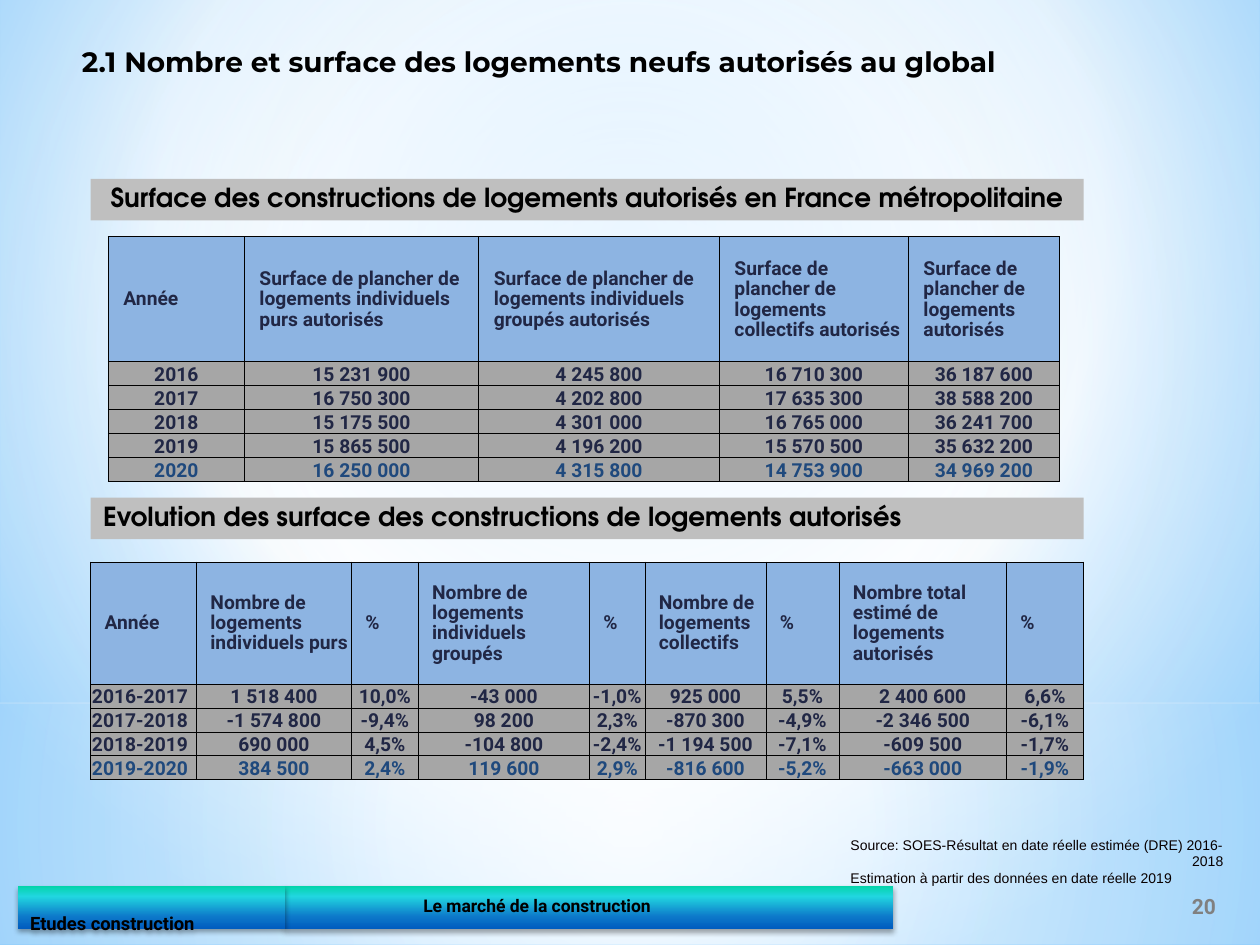
from dataclasses import dataclass

from lxml import etree
from pptx import Presentation
from pptx.dml.color import RGBColor
from pptx.enum.shapes import MSO_SHAPE
from pptx.enum.text import MSO_ANCHOR, PP_ALIGN
from pptx.oxml import parse_xml
from pptx.oxml.ns import nsdecls, qn
from pptx.util import Inches, Pt


@dataclass(frozen=True)
class Theme:
    black: str = "000000"
    navy: str = "212745"
    blue: str = "1F497D"
    red: str = "FF0000"
    grey: str = "808080"
    source: str = "080000"
    band: str = "BFBFBF"
    header: str = "8DB4E2"
    body: str = "A6A6A6"
    title_font: str = "Montserrat"
    band_font: str = "TeX Gyre Adventor"
    text_font: str = "Roboto"
    source_font: str = "Arial"
    title_size: float = 16
    band_size: float = 15
    number_size: float = 12
    cell_size: float = 11
    tag_size: float = 10.5
    footer_size: float = 10
    source_size: float = 8


T = Theme()
LEFT, CENTER, RIGHT = PP_ALIGN.LEFT, PP_ALIGN.CENTER, PP_ALIGN.RIGHT
TOP, MIDDLE, BOTTOM = MSO_ANCHOR.TOP, MSO_ANCHOR.MIDDLE, MSO_ANCHOR.BOTTOM
DEFAULT_INSETS = (0.1, 0.05, 0.1, 0.05)

TITLE = "2.1 Nombre et surface des logements neufs autorisés au global"
BANDS = [
    (1.42, CENTER, "Surface des constructions de logements autorisés en France métropolitaine"),
    (3.95, LEFT, "Evolution des surface des constructions de logements autorisés"),
]
SOURCE = [
    (RIGHT, "Source: SOES-Résultat en date réelle estimée (DRE) 2016-2018"),
    (LEFT, "Estimation à partir des données en date réelle 2019"),
]
TABLES = [
    {
        "at": (0.86, 1.88), "header_height": 0.99, "indent": 0.12, "first_align": CENTER,
        "cols": [1.08, 1.86, 1.91, 1.5, 1.2],
        "rows": [
            ["Année", "Surface de plancher de logements individuels purs autorisés",
             "Surface de plancher de logements individuels groupés autorisés",
             "Surface de plancher de logements collectifs autorisés",
             "Surface de plancher de logements autorisés"],
            ["2016", "15 231 900", "4 245 800", "16 710 300", "36 187 600"],
            ["2017", "16 750 300", "4 202 800", "17 635 300", "38 588 200"],
            ["2018", "15 175 500", "4 301 000", "16 765 000", "36 241 700"],
            ["2019", "15 865 500", "4 196 200", "15 570 500", "35 632 200"],
            ["2020", "16 250 000", "4 315 800", "14 753 900", "34 969 200"],
        ],
    },
    {
        "at": (0.72, 4.46), "header_height": 0.97, "indent": 0.11, "first_align": LEFT,
        "cols": [0.84, 1.23, 0.53, 1.36, 0.44, 0.96, 0.58, 1.33, 0.61],
        "rows": [
            ["Année", "Nombre de logements individuels purs", "%",
             "Nombre de logements individuels groupés", "%",
             "Nombre de logements collectifs", "%",
             "Nombre total estimé de logements autorisés", "%"],
            ["2016-2017", "1 518 400", "10,0%", "-43 000", "-1,0%", "925 000", "5,5%",
             "2 400 600", "6,6%"],
            ["2017-2018", "-1 574 800", "-9,4%", "98 200", "2,3%", "-870 300", "-4,9%",
             "-2 346 500", "-6,1%"],
            ["2018-2019", "690 000", "4,5%", "-104 800", "-2,4%", "-1 194 500", "-7,1%",
             "-609 500", "-1,7%"],
            ["2019-2020", "384 500", "2,4%", "119 600", "2,9%", "-816 600", "-5,2%",
             "-663 000", "-1,9%"],
        ],
    },
]
ROW_HEIGHT = 0.19
BACKGROUND = ([(0, "9ED5FF", 100), (60, "FFFFFF", 100), (100, "5BB9FF", 100)], (20, 10, 20, 60))
PANELS = [
    (5.58, 1.92, [(0, "FFFFFF", 91), (37, "FFFFFF", 76), (100, "B4DCFA", 79)]),
    (0, 5.58, [(0, "FFFFFF", 89), (48, "FFFFFF", 62), (100, "B4DCFA", 79)]),
]
FOOTER_STOPS = [(0, "03D4A8", 100), (25, "21D6E0", 100), (72, "0D79CA", 100), (100, "005CBF", 100)]
FOOTERS = [
    (2.26, 4.83, "Le marché de la construction", T.footer_size, (1.1, 0.05, 0.1, 0.05)),
    (0.14, 2.12, "Etudes construction", T.tag_size, (0.1, 0.32, 0.1, 0.05)),
]


def set_gradient(props, stops, center=None):
    stop_xml = "".join(
        f'<a:gs pos="{pos * 1000}"><a:srgbClr val="{color}">'
        f'<a:alpha val="{alpha * 1000}"/></a:srgbClr></a:gs>'
        for pos, color, alpha in stops)
    shade = '<a:lin ang="5400000" scaled="0"/>'
    if center:
        rect = " ".join(f'{side}="{v * 1000}"' for side, v in zip("ltrb", center))
        shade = f'<a:path path="circle"><a:fillToRect {rect}/></a:path>'
    grad = parse_xml(f'<a:gradFill {nsdecls("a")} rotWithShape="1">'
                     f'<a:gsLst>{stop_xml}</a:gsLst>{shade}</a:gradFill>')
    props.replace(props.find(qn("a:solidFill")), grad)


def set_frame(tf, anchor=TOP, insets=DEFAULT_INSETS, wrap=True):
    tf.word_wrap = wrap
    tf.vertical_anchor = anchor
    tf.margin_left, tf.margin_top, tf.margin_right, tf.margin_bottom = map(Inches, insets)


def add_text(p, text, font, size, color, bold=True, align=LEFT, spacing=None):
    p.alignment = align
    if spacing:
        p.line_spacing = spacing
    r = p.add_run()
    r.text = text
    r.font.name, r.font.size, r.font.bold = font, Pt(size), bold
    r.font.color.rgb = RGBColor.from_string(color)


def add_block(s, kind, at, color):
    sp = s.shapes.add_shape(kind, *map(Inches, at))
    sp.shadow.inherit = False
    sp.fill.solid()
    sp.fill.fore_color.rgb = RGBColor.from_string(color)
    sp.line.fill.background()
    return sp


def add_footer(s, left, width, text, size, insets):
    sp = add_block(s, MSO_SHAPE.FRAME, (left, 7.03, width, 0.34), T.black)
    sp.adjustments[0] = 0.5
    props = sp._element.spPr
    set_gradient(props, FOOTER_STOPS)
    shadow = etree.SubElement(props.find(qn("a:effectLst")), qn("a:outerShdw"),
                              blurRad=str(Pt(3.1)), dist=str(Pt(1.8)), dir="5400000")
    color = etree.SubElement(shadow, qn("a:srgbClr"), val=T.black)
    etree.SubElement(color, qn("a:alpha"), val="35000")
    set_frame(sp.text_frame, MIDDLE, insets)
    add_text(sp.text_frame.paragraphs[0], text, T.text_font, size, T.black, spacing=0.9)


def add_borders(cell):
    props = cell._tc.get_or_add_tcPr()
    for side in ("lnL", "lnR", "lnT", "lnB"):
        ln = etree.SubElement(props, qn(f"a:{side}"), w=str(Pt(0.5)))
        etree.SubElement(etree.SubElement(ln, qn("a:solidFill")), qn("a:srgbClr"), val=T.black)


def add_data_table(s, data):
    rows, cols = data["rows"], data["cols"]
    heights = [data["header_height"]] + [ROW_HEIGHT] * (len(rows) - 1)
    size = (sum(cols), sum(heights))
    table = s.shapes.add_table(len(rows), len(cols), *map(Inches, data["at"] + size)).table
    for col, width in zip(table.columns, cols):
        col.width = Inches(width)
    colors = [T.navy] * (len(rows) - 2) + [T.blue, T.red]
    for i, values in enumerate(rows):
        table.rows[i].height = Inches(heights[i])
        header = i == 0
        for j, value in enumerate(values):
            cell = table.cell(i, j)
            add_borders(cell)
            cell.fill.solid()
            cell.fill.fore_color.rgb = RGBColor.from_string(T.header if header else T.body)
            cell.vertical_anchor = MIDDLE if header else BOTTOM
            cell.margin_left = Inches(data["indent"] if header else 0.01)
            cell.margin_top = cell.margin_right = Inches(0.01)
            cell.margin_bottom = 0
            align = LEFT if header else data["first_align"] if j == 0 else CENTER
            add_text(cell.text_frame.paragraphs[0], value, T.text_font, T.cell_size,
                     colors[i - 1] if i else T.navy, align=align, spacing=0.9)


def main():
    prs = Presentation()
    prs.slide_width, prs.slide_height = Inches(10), Inches(7.5)
    s = prs.slides.add_slide(prs.slide_layouts[5])
    s.background.fill.solid()
    s.background.fill.fore_color.rgb = RGBColor.from_string("FFFFFF")
    set_gradient(s._element.cSld.find(qn("p:bg")).find(qn("p:bgPr")), *BACKGROUND)
    for top, height, stops in PANELS:
        sp = add_block(s, MSO_SHAPE.RECTANGLE, (0, top, 10, height), "FFFFFF")
        set_gradient(sp._element.spPr, stops, (50, 50, 50, 50))
    for footer in FOOTERS:
        add_footer(s, *footer)

    title = s.shapes.title
    s.shapes._spTree.append(title._element)
    title.left, title.top, title.width, title.height = map(Inches, (0.55, 0.3, 8.08, 0.44))
    set_frame(title.text_frame)
    add_text(title.text_frame.paragraphs[0], TITLE, T.title_font, T.title_size, T.black)

    number = s.shapes.add_textbox(*map(Inches, (9.26, 6.99, 0.59, 0.4)))
    set_frame(number.text_frame, MIDDLE)
    add_text(number.text_frame.paragraphs[0], "20", T.text_font, T.number_size, T.grey, align=CENTER)

    for top, align, text in BANDS:
        sp = add_block(s, MSO_SHAPE.RECTANGLE, (0.72, top, 7.88, 0.33), T.band)
        set_frame(sp.text_frame)
        add_text(sp.text_frame.paragraphs[0], text, T.band_font, T.band_size, T.black,
                 align=align, spacing=0.9)

    tf = s.shapes.add_textbox(*map(Inches, (6.45, 6.68, 3.35, 0.31))).text_frame
    set_frame(tf, MIDDLE, (0.09, 0.04, 0.09, 0.04), wrap=False)
    for i, (align, line) in enumerate(SOURCE):
        p = tf.add_paragraph() if i else tf.paragraphs[0]
        add_text(p, line, T.source_font, T.source_size, T.source, bold=False, align=align)

    for data in TABLES:
        add_data_table(s, data)
    prs.save("out.pptx")


if __name__ == "__main__":
    main()
